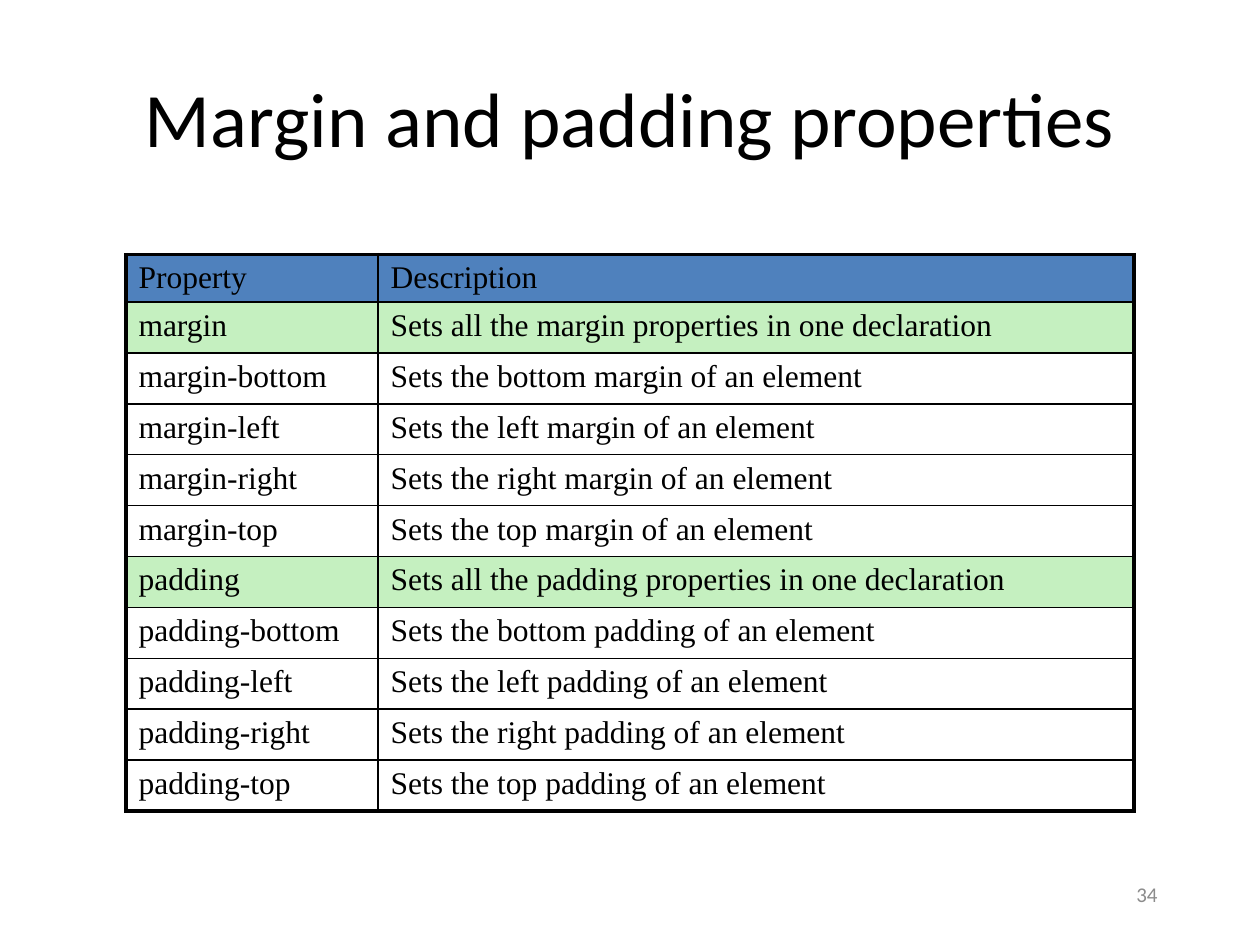
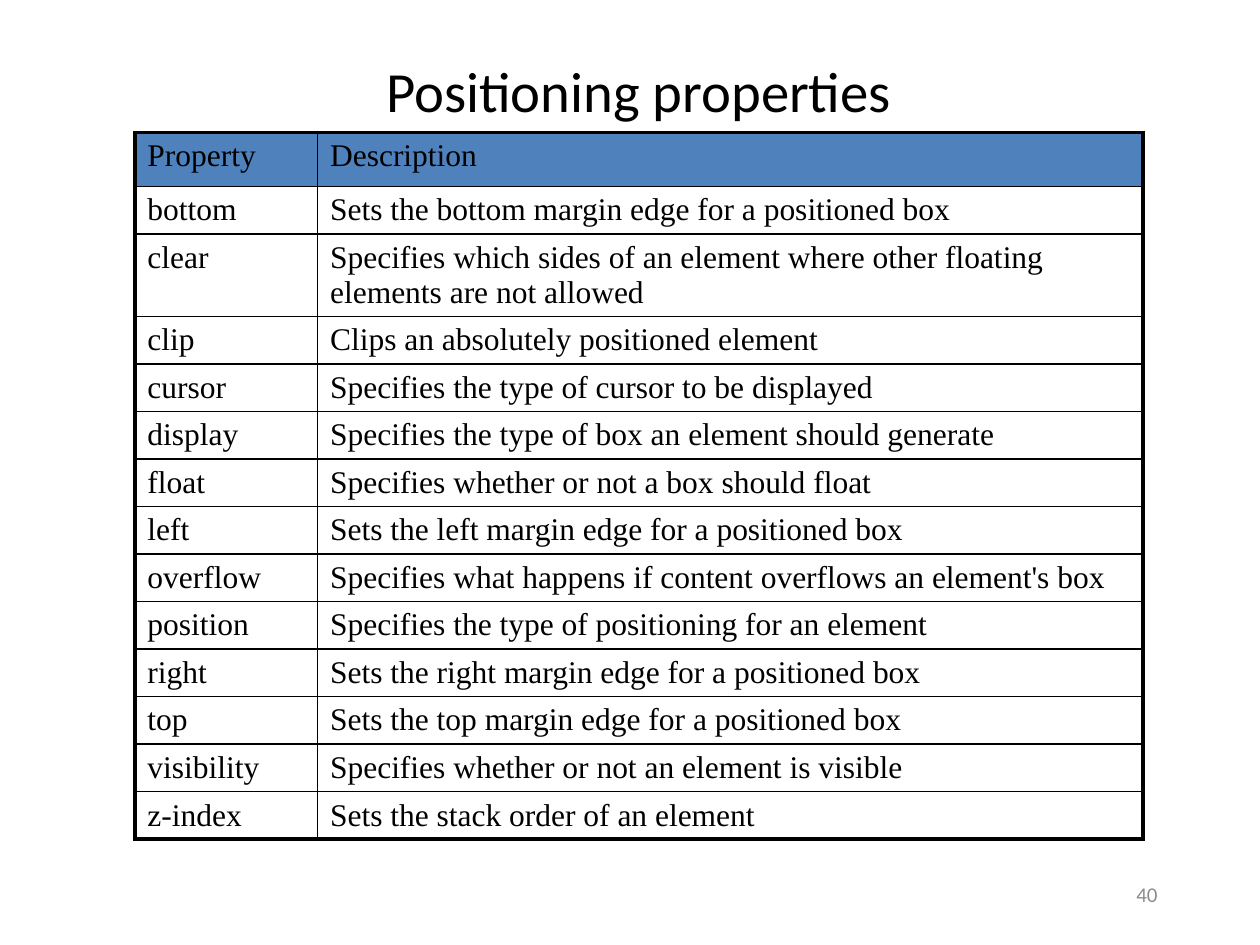
import dataclasses

import pptx
import pptx.dml.color
import pptx.enum.text
import pptx.oxml
import pptx.oxml.ns
import pptx.util


@dataclasses.dataclass(frozen=True)
class Theme:
    ink: str = "000000"
    header_fill: str = "4F81BD"
    shorthand_fill: str = "C5F0C0"
    number_ink: str = "8C8C8C"
    heading_font: str = "Calibri"
    table_font: str = "Times New Roman"
    title_size: float = 44
    compact_title_size: float = 32.4
    table_size: float = 18
    number_size: float = 12
    outer_line: float = 2.25
    inner_line: float = 1


class Deck:
    """Places elements on a grid of 100 columns by 75 rows."""

    COLUMNS, ROWS = 100, 75

    def __init__(self, theme):
        self.theme = theme
        self.presentation = pptx.Presentation()
        self.presentation.slide_width = pptx.util.Inches(10)
        self.presentation.slide_height = pptx.util.Inches(7.5)
        self.slide = None

    def across(self, columns):
        return round(self.presentation.slide_width * columns / self.COLUMNS)

    def down(self, rows):
        return round(self.presentation.slide_height * rows / self.ROWS)

    def area(self, left, top, width, height):
        return self.across(left), self.down(top), self.across(width), self.down(height)

    def new_slide(self):
        layout = self.presentation.slide_layouts.get_by_name("Title Only")
        self.slide = self.presentation.slides.add_slide(layout)

    def add_text(self, frame, text, font, size, color, align=pptx.enum.text.PP_ALIGN.LEFT):
        paragraph = frame.paragraphs[0]
        paragraph.alignment = align
        run = paragraph.add_run()
        run.text = text
        run.font.name = font
        run.font.size = pptx.util.Pt(size)
        run.font.bold = False
        run.font.color.rgb = pptx.dml.color.RGBColor.from_string(color)

    def title(self, text, area, size):
        heading = self.slide.shapes.title
        heading.left, heading.top, heading.width, heading.height = self.area(*area)
        frame = heading.text_frame
        frame.auto_size = pptx.enum.text.MSO_AUTO_SIZE.NONE
        frame.vertical_anchor = pptx.enum.text.MSO_ANCHOR.MIDDLE
        self.add_text(frame, text, self.theme.heading_font, size, self.theme.ink,
                      pptx.enum.text.PP_ALIGN.CENTER)

    def page_number(self, number):
        frame = self.slide.shapes.add_textbox(*self.area(89.2, 69, 5.8, 4)).text_frame
        frame.word_wrap = True
        frame.vertical_anchor = pptx.enum.text.MSO_ANCHOR.MIDDLE
        self.add_text(frame, str(number), self.theme.heading_font,
                      self.theme.number_size, self.theme.number_ink)

    def border(self, cell, outer_sides):
        """Draw all four sides, heavier where the cell meets the table's edge."""
        properties = cell._tc.get_or_add_tcPr()
        namespace = pptx.oxml.ns.nsdecls("a")
        for side in "LRTB":
            weight = self.theme.outer_line if side in outer_sides else self.theme.inner_line
            properties.append(pptx.oxml.parse_xml(
                f'<a:ln{side} {namespace} w="{pptx.util.Pt(weight)}"><a:solidFill>'
                f'<a:srgbClr val="{self.theme.ink}"/></a:solidFill></a:ln{side}>'))

    def property_table(self, descriptions, corner, widths, header_height, row_height,
                       shorthands=()):
        entries = [("Property", "Description"), *descriptions.items()]
        heights = [header_height] + [row_height] * len(descriptions)
        table = self.slide.shapes.add_table(
            len(entries), len(widths), *self.area(*corner, sum(widths), sum(heights))).table
        table.horz_banding = False
        for column, width in zip(table.columns, widths):
            column.width = self.across(width)
        for row, height in zip(table.rows, heights):
            row.height = self.down(height)

        last = len(entries) - 1
        for index, entry in enumerate(entries):
            if index == 0:
                color = self.theme.header_fill
            else:
                color = self.theme.shorthand_fill if entry[0] in shorthands else None
            ends = ("T" if index == 0 else "") + ("B" if index == last else "")
            for position, text in enumerate(entry):
                cell = table.cell(index, position)
                self.border(cell, ends + "LR"[position])
                if color:
                    cell.fill.solid()
                    cell.fill.fore_color.rgb = pptx.dml.color.RGBColor.from_string(color)
                else:
                    cell.fill.background()
                self.add_text(cell.text_frame, text, self.theme.table_font,
                              self.theme.table_size, self.theme.ink)


def box_model_descriptions(kinds, sides):
    """Describe each shorthand property, followed by its four sides."""
    descriptions = {}
    for kind in kinds:
        descriptions[kind] = f"Sets all the {kind} properties in one declaration"
        for side in sides:
            descriptions[f"{kind}-{side}"] = f"Sets the {side} {kind} of an element"
    return descriptions


POSITIONING = {
    "bottom": "Sets the bottom margin edge for a positioned box",
    "clear": "Specifies which sides of an element where other floating "
             "elements are not allowed",
    "clip": "Clips an absolutely positioned element",
    "cursor": "Specifies the type of cursor to be displayed",
    "display": "Specifies the type of box an element should generate",
    "float": "Specifies whether or not a box should float",
    "left": "Sets the left margin edge for a positioned box",
    "overflow": "Specifies what happens if content overflows an element's box",
    "position": "Specifies the type of positioning for an element",
    "right": "Sets the right margin edge for a positioned box",
    "top": "Sets the top margin edge for a positioned box",
    "visibility": "Specifies whether or not an element is visible",
    "z-index": "Sets the stack order of an element",
}


def main():
    theme = Theme()
    deck = Deck(theme)

    shorthands = ("margin", "padding")
    deck.new_slide()
    deck.title("Margin and padding properties", (5, 3, 90, 12.5), theme.title_size)
    deck.property_table(
        box_model_descriptions(shorthands, ("bottom", "left", "right", "top")),
        corner=(10, 20.2), widths=(20, 60), header_height=3.6, row_height=4.04,
        shorthands=shorthands)
    deck.page_number(34)

    deck.new_slide()
    deck.title("Positioning properties", (8.1, 3.7, 85.2, 6.8), theme.compact_title_size)
    deck.property_table(POSITIONING, corner=(10.7, 10.5), widths=(14.5, 65.5),
                        header_height=4.3, row_height=3.2)
    deck.page_number(40)

    deck.presentation.save("out.pptx")


if __name__ == "__main__":
    main()
